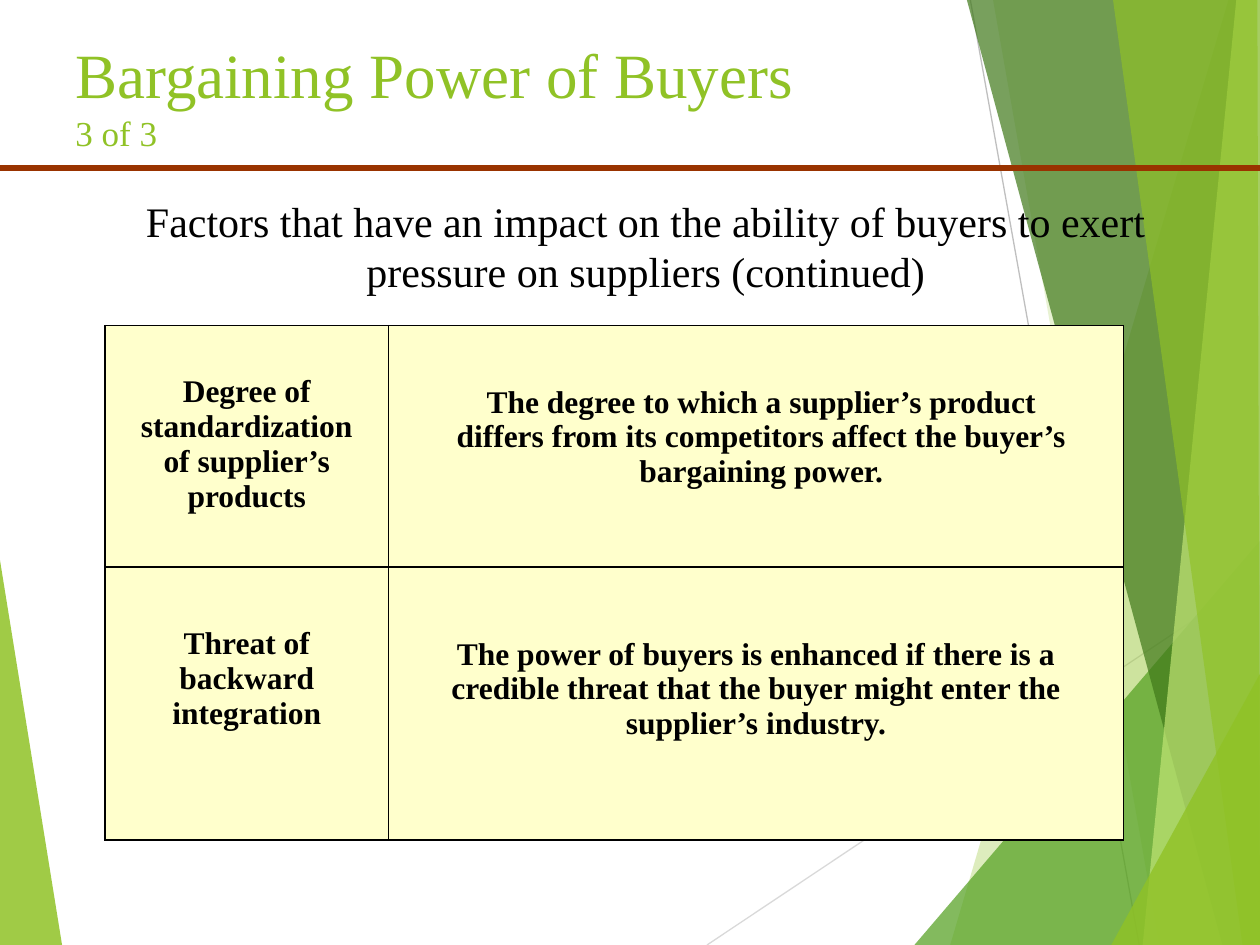
from lxml import etree
from pptx import Presentation
from pptx.dml.color import RGBColor
from pptx.enum.shapes import MSO_CONNECTOR
from pptx.enum.text import MSO_ANCHOR, PP_ALIGN
from pptx.oxml.ns import qn
from pptx.util import Pt

FONT = "Times New Roman"
LIME = RGBColor(0x90, 0xC2, 0x26)
PALE_LIME = RGBColor(0xC0, 0xE4, 0x74)
GREEN = RGBColor(0x54, 0xA0, 0x21)
DARK_GREEN = RGBColor(0x3F, 0x78, 0x19)
LIGHT_GREY = RGBColor(0xD9, 0xD9, 0xD9)
GREY = RGBColor(0xBF, 0xBF, 0xBF)
RUST = RGBColor(0x99, 0x33, 0x00)
CREAM = RGBColor(0xFF, 0xFF, 0xCC)
BLACK = RGBColor(0, 0, 0)

W, H = 720, 540

# Content
TITLE, PAGE = "Bargaining Power of Buyers", "3 of 3"
INTRO = ("Factors that have an impact on the ability of buyers to exert "
         "pressure on suppliers (continued)")
FACTORS = [
    ("Degree of standardization of supplier’s products",
     "The degree to which a supplier’s product differs from its competitors "
     "affect the buyer’s bargaining power."),
    ("Threat of backward integration",
     "The power of buyers is enhanced if there is a credible threat that the "
     "buyer might enter the supplier’s industry."),
]
COL_WIDTHS, ROW_HEIGHTS = (162, 420), (138, 156)
# Cell margins: left, top, right
MARGINS = [[(13, 28, 13), (31, 34, 25)],
           [(13, 34, 13), (13, 40, 13)]]

# Background: thin lines lie between the left and the right facets
LEFT_FACET = [(LIME, 85, [(0, 320), (35.5, H), (0, H)])]
BACK_LINES = [(404, H, W, 329, LIGHT_GREY), (554.5, 0, 651, H, GREY)]
RIGHT_FACETS = [
    (LIME, 30, [(702, 0), (543, H), (W, H), (W, 0)]),
    (LIME, 20, [(567.5, 0), (662.5, H), (W, H), (W, 0)]),
    (GREEN, 72, [(522.5, H), (W, 309), (W, H)]),
    (DARK_GREEN, 70, [(552.5, 0), (698.5, H), (W, H), (W, 0)]),
    (PALE_LIME, 70, [(706.5, 0), (653, H), (W, H), (W, 0)]),
    (LIME, 65, [(636, 0), (710, H), (W, H), (718.5, 0)]),
    (LIME, 80, [(635, H), (W, 385), (W, H)]),
]


def add_facets(facets):
    for color, opacity, points in facets:
        start, *rest = [(Pt(x), Pt(y)) for x, y in points]
        builder = s.shapes.build_freeform(*start)
        builder.add_line_segments(rest, close=True)
        sp = builder.convert_to_shape()
        sp.shadow.inherit = False
        sp.fill.solid()
        sp.fill.fore_color.rgb = color
        sp.line.fill.background()
        rgb = sp.fill._xPr.find(".//" + qn("a:srgbClr"))
        etree.SubElement(rgb, qn("a:alpha"), val=str(opacity * 1000))


def add_line(x1, y1, x2, y2, color, width=0.75):
    line = s.shapes.add_connector(MSO_CONNECTOR.STRAIGHT, Pt(x1), Pt(y1), Pt(x2), Pt(y2))
    line.line.color.rgb = color
    line.line.width = Pt(width)
    etree.SubElement(line._element.spPr, qn("a:effectLst"))


def style(p, size, color, bold=False):
    for r in p.runs:
        r.font.name = FONT
        r.font.size = Pt(size)
        r.font.bold = bold
        r.font.color.rgb = color


def add_text(x, y, w, h, text):
    tf = s.shapes.add_textbox(Pt(x), Pt(y), Pt(w), Pt(h)).text_frame
    tf.word_wrap = True
    tf.text = text
    return tf


def add_borders(cell):
    props = cell._tc.get_or_add_tcPr()
    for i, side in enumerate(("lnL", "lnR", "lnT", "lnB")):
        border = etree.Element(qn("a:" + side), w=str(Pt(0.75)))
        fill = etree.SubElement(border, qn("a:solidFill"))
        etree.SubElement(fill, qn("a:srgbClr"), val=str(BLACK))
        props.insert(i, border)


prs = Presentation()
prs.slide_width, prs.slide_height = Pt(W), Pt(H)
s = prs.slides.add_slide(prs.slide_layouts[6])

# Background
add_facets(LEFT_FACET)
for back_line in BACK_LINES:
    add_line(*back_line)
add_facets(RIGHT_FACETS)

# Title and rule
tf = add_text(36, 17, 648, 76, TITLE)
style(tf.paragraphs[0], 36, LIME)
p = tf.add_paragraph()
p.text = PAGE
style(p, 20, LIME)
add_line(0, 96, W, 96, RUST, 3)

# Introduction
p = add_text(42, 108, 654, 65, INTRO).paragraphs[0]
p.alignment = PP_ALIGN.CENTER
style(p, 24, BLACK)

# Table of factors
frame = s.shapes.add_table(len(FACTORS), len(COL_WIDTHS), Pt(60), Pt(186),
                           Pt(sum(COL_WIDTHS)), Pt(sum(ROW_HEIGHTS)))
table = frame.table
table.first_row = table.horz_banding = False
for col, width in zip(table.columns, COL_WIDTHS):
    col.width = Pt(width)
for i, texts in enumerate(FACTORS):
    table.rows[i].height = Pt(ROW_HEIGHTS[i])
    for j, text in enumerate(texts):
        cell = table.cell(i, j)
        cell.fill.solid()
        cell.fill.fore_color.rgb = CREAM
        add_borders(cell)
        cell.vertical_anchor = MSO_ANCHOR.TOP
        left, top, right = MARGINS[i][j]
        cell.margin_left, cell.margin_top, cell.margin_right = Pt(left), Pt(top), Pt(right)
        cell.text_frame.text = text
        p = cell.text_frame.paragraphs[0]
        p.alignment = PP_ALIGN.CENTER
        style(p, 18, BLACK, bold=True)

prs.save("out.pptx")
